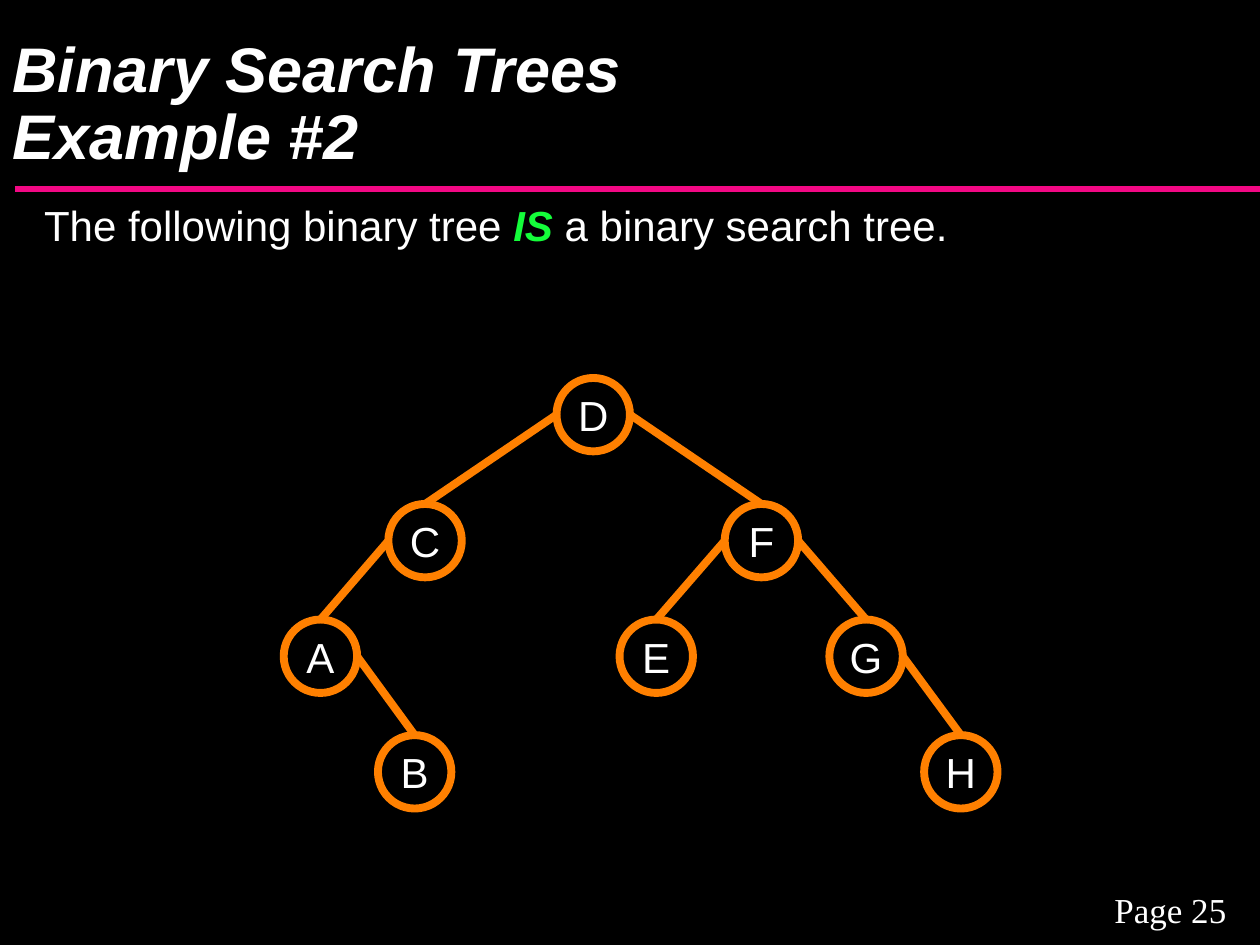
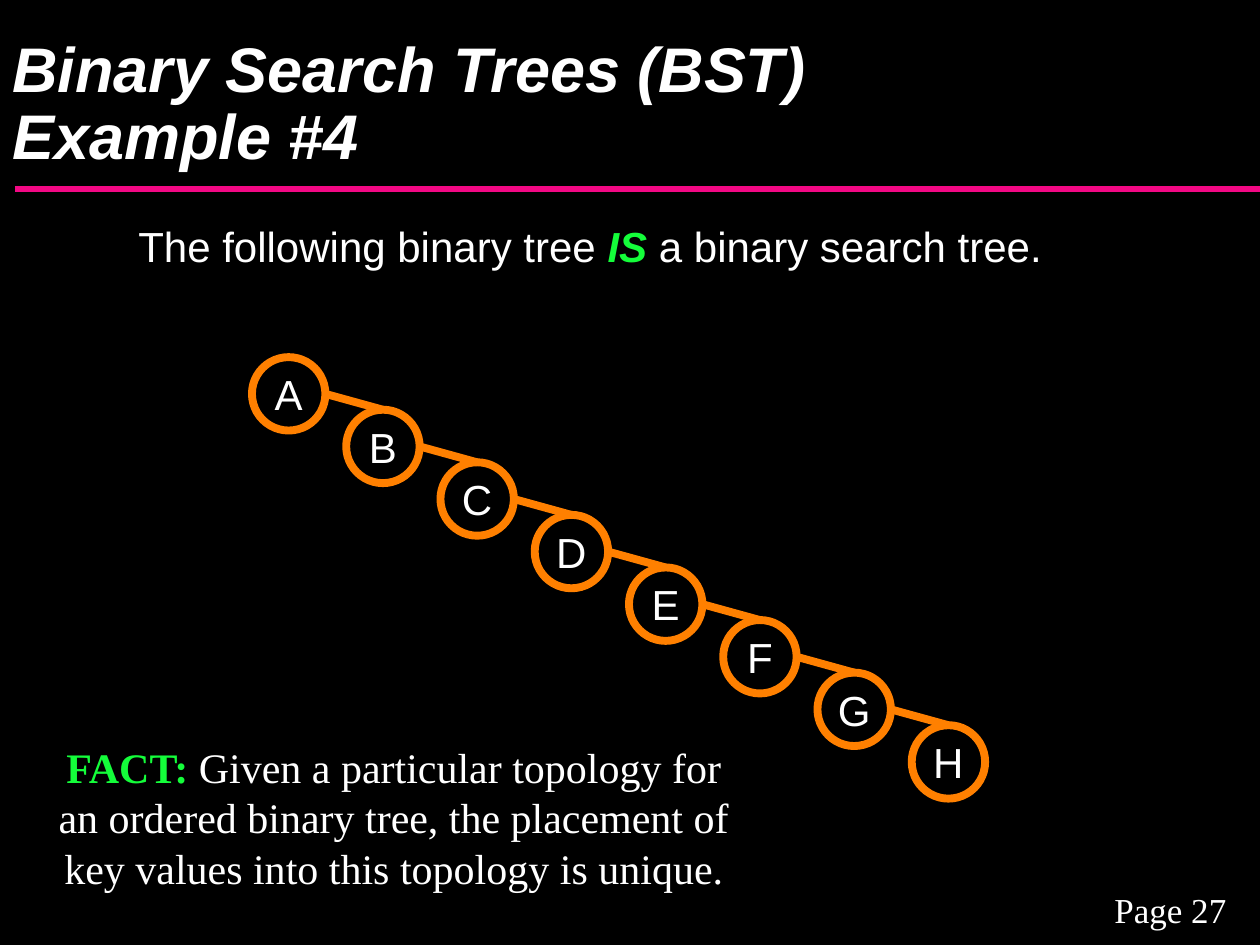
from lxml import etree
from pptx import Presentation
from pptx.dml.color import RGBColor
from pptx.enum.shapes import MSO_CONNECTOR, MSO_SHAPE
from pptx.enum.text import MSO_ANCHOR, PP_ALIGN
from pptx.oxml.ns import qn
from pptx.util import Cm, Pt

STRAIGHT = MSO_CONNECTOR.STRAIGHT
OVAL = MSO_SHAPE.OVAL
TOP, MIDDLE, BOTTOM = MSO_ANCHOR.TOP, MSO_ANCHOR.MIDDLE, MSO_ANCHOR.BOTTOM
LEFT, CENTER = PP_ALIGN.LEFT, PP_ALIGN.CENTER
TOP_SITE = 0

BLACK, WHITE = "000000", "FFFFFF"
PINK, ORANGE, GREEN = "F20884", "FF8000", "14FD3A"
SANS, SERIF = "Arial", "Times New Roman"
NODE_SIZE = 1.48

TITLE = {"name": SANS, "size": Pt(36), "bold": True, "italic": True}
BODY = {"name": SANS, "size": Pt(24)}
FACT = {"name": SERIF, "size": Pt(24)}
PAGE = {"name": SERIF, "size": Pt(20)}
VERDICT = {"bold": True, "italic": True, "color": GREEN}
STRONG = {"bold": True, "color": GREEN}


def rgb(hex_color):
    return RGBColor.from_string(hex_color)


def set_formats(target, formats):
    for attribute, value in formats.items():
        setattr(target, attribute, value)


class Deck:
    def __init__(self):
        self.presentation = Presentation()
        self.presentation.slide_width = Cm(25.4)
        self.presentation.slide_height = Cm(19.05)
        self.slide = None

    def new_slide(self, title_lines, page):
        layout = self.presentation.slide_layouts[6]
        self.slide = self.presentation.slides.add_slide(layout)
        background = self.slide.background.fill
        background.solid()
        background.fore_color.rgb = rgb(BLACK)
        self.line((0.3, 3.81), (25.4, 3.81), PINK, 3.75)
        self.text((21.79, 17.78, 3.61, 1.09), [(f"Page {page}", {})], PAGE, CENTER)
        first, second = title_lines
        title_runs = [(first, {}), ("\n", {}), (second, {})]
        self.text((0, 0, 25.4, 3.61), title_runs, TITLE, anchor=BOTTOM, spacing=0.89)

    def add_runs(self, frame, runs, style, align):
        paragraph = frame.paragraphs[0]
        paragraph.alignment = align
        for words, changes in runs:
            if words == "\n":
                paragraph.add_line_break()
                continue
            run = paragraph.add_run()
            run.text = words
            formats = {**style, **changes}
            run.font.color.rgb = rgb(formats.pop("color", WHITE))
            set_formats(run.font, formats)
        return paragraph

    def text(self, box, runs, style, align=LEFT, anchor=TOP, spacing=1.0, indent=0.25):
        frame = self.slide.shapes.add_textbox(*map(Cm, box)).text_frame
        set_formats(frame, {"word_wrap": True, "vertical_anchor": anchor,
                            "margin_left": Cm(indent), "margin_right": Cm(0.25)})
        self.add_runs(frame, runs, style, align).line_spacing = spacing

    def statement(self, box):
        runs = [("The following binary tree ", {}), ("IS", VERDICT),
                (" a binary search tree.", {})]
        self.text(box, runs, BODY, spacing=0.89, indent=0.89)

    def line(self, start, end, color, width):
        connector = self.slide.shapes.add_connector(STRAIGHT, *map(Cm, start + end))
        connector.line.color.rgb = rgb(color)
        connector.line.width = Pt(width)
        etree.SubElement(connector._element.spPr, qn("a:effectLst"))
        return connector

    def node(self, key, left, top):
        circle = self.slide.shapes.add_shape(
            OVAL, Cm(left), Cm(top), Cm(NODE_SIZE), Cm(NODE_SIZE))
        circle.shadow.inherit = False
        circle.fill.background()
        circle.line.color.rgb = rgb(ORANGE)
        circle.line.width = Pt(4.5)
        margins = dict.fromkeys(
            ("margin_left", "margin_top", "margin_right", "margin_bottom"), 0)
        set_formats(circle.text_frame,
                    {**margins, "word_wrap": False, "vertical_anchor": MIDDLE})
        self.add_runs(circle.text_frame, [(key, {})], BODY, CENTER)
        return circle

    def tree(self, places, edges):
        circles = {key: self.node(key, *place) for key, place in places.items()}
        for parent, child in edges:
            (left, top), (child_left, child_top) = places[parent], places[child]
            side = left + NODE_SIZE if child_left > left else left
            branch = self.line((side, top + NODE_SIZE / 2),
                               (child_left + NODE_SIZE / 2, child_top), ORANGE, 4.5)
            branch.end_connect(circles[child], TOP_SITE)


def main():
    deck = Deck()

    deck.new_slide(("Binary Search Trees", "Example #2"), 25)
    level_tops = (7.62, 10.16, 12.49, 14.82)
    levels = ({"D": 11.22}, {"C": 7.83, "F": 14.61},
              {"A": 5.72, "E": 12.49, "G": 16.72}, {"B": 7.62, "H": 18.63})
    places = {key: (left, top) for top, level in zip(level_tops, levels)
              for key, left in level.items()}
    deck.tree(places, ("DC", "DF", "CA", "FE", "FG", "AB", "GH"))
    deck.statement((0, 4.02, 24.97, 13.76))

    deck.new_slide(("Binary Search Trees (BST)", "Example #4"), 27)
    keys = "ABCDEFGH"
    chain = {key: (5.08 + 1.9 * step, 7.2 + 1.06 * step)
             for step, key in enumerate(keys)}
    deck.tree(chain, zip(keys, keys[1:]))
    deck.statement((1.9, 4.45, 21.59, 2.33))
    fact = (" Given a particular topology for an ordered binary tree, "
            "the placement of key values into this topology is unique.")
    deck.text((0.85, 14.82, 14.18, 3.81), [("FACT:", STRONG), (fact, {})], FACT, CENTER)

    deck.presentation.save("out.pptx")


if __name__ == "__main__":
    main()
